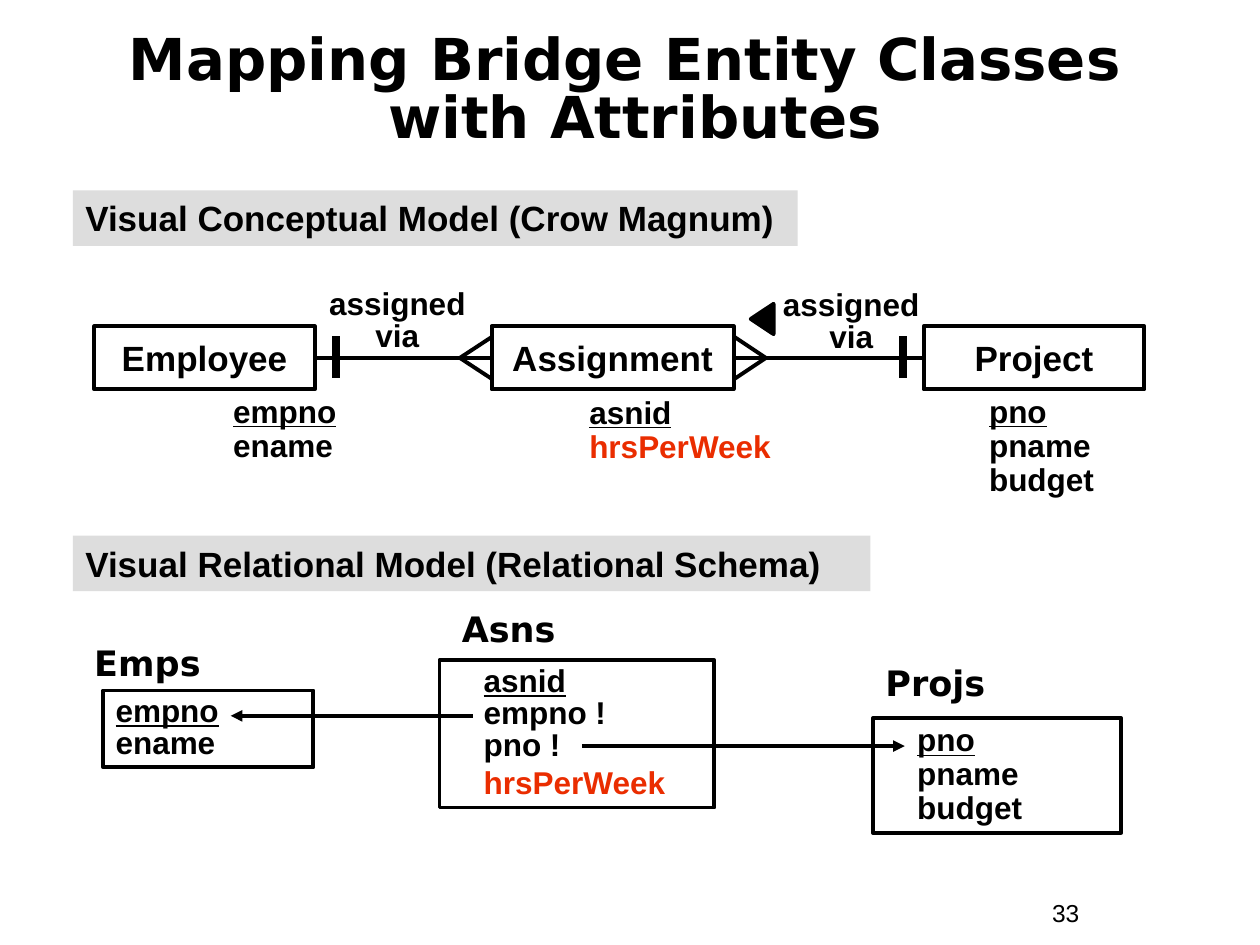
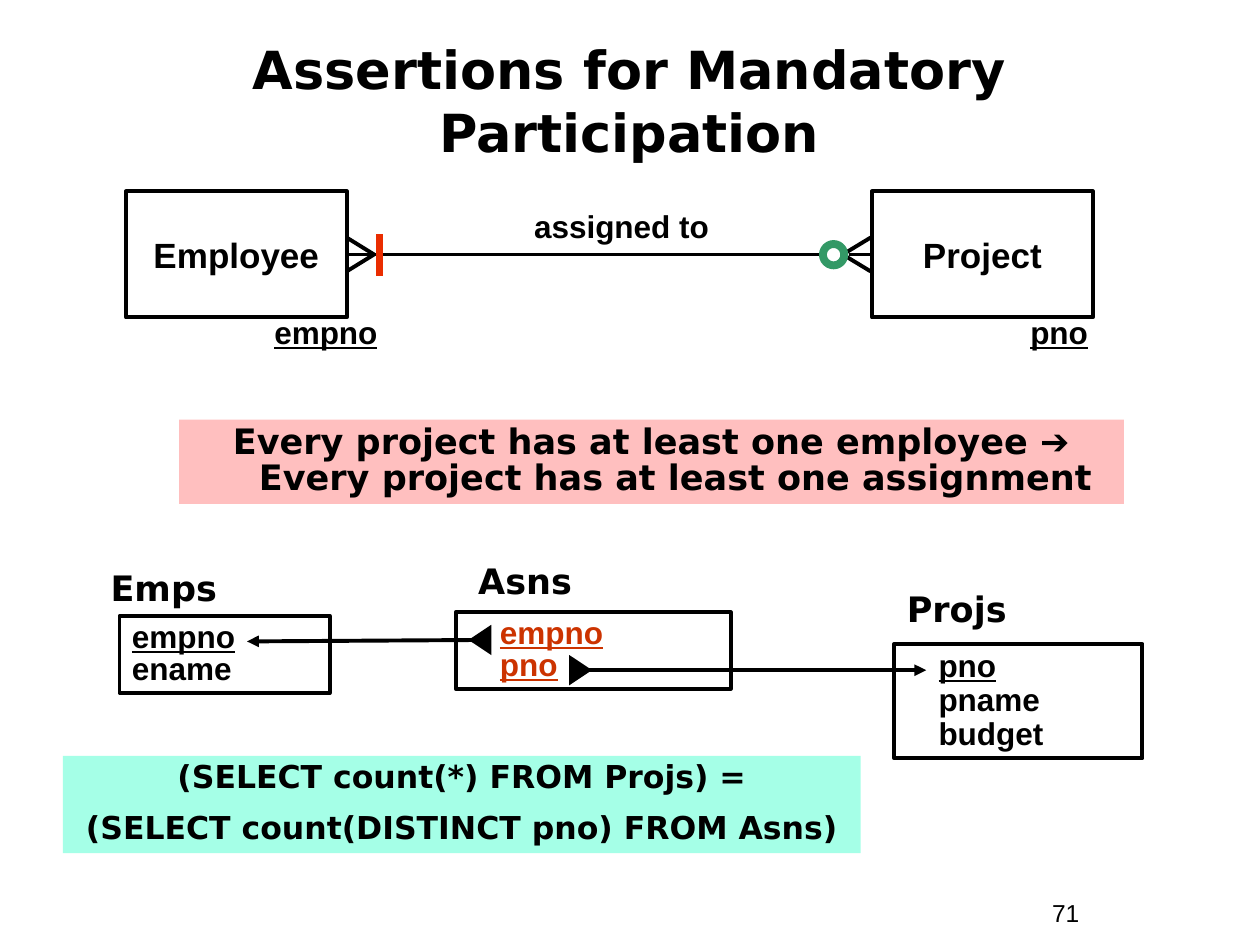
"""Build two slides that map entity classes to relational tables."""
from dataclasses import dataclass, replace

from lxml import etree
from pptx import Presentation
from pptx import util as u
from pptx.dml.color import RGBColor
from pptx.enum import shapes, text
from pptx.oxml.ns import qn

COLORS = {
    "ink": "000000",
    "heading": "DDDDDD",
    "alert": "EA2D00",
    "foreign": "CC3300",
    "optional": "339966",
    "rule": "FFBFBF",
    "query": "A5FFE7",
}
ACCENTS = {"hrsPerWeek": "alert"}
SANS, DISPLAY = "Arial", "DejaVu Sans"
LINE, HEAVY = 2.25, 4.5
LEFT, CENTER = text.PP_ALIGN.LEFT, text.PP_ALIGN.CENTER


@dataclass(frozen=True)
class Style:
    size: float = 18
    font: str = SANS
    bold: bool = True
    color: str = "ink"
    align: text.PP_ALIGN = LEFT
    spacing: float = 1.0
    before: float = 0
    margin: float = 0
    indent: float = 0
    middle: bool = False
    wrap: bool = True


@dataclass(frozen=True)
class Block:
    """Text in a frame measured in centimetres; keys are underlined."""
    words: str
    left: float
    top: float
    width: float
    height: float
    style: Style
    keys: tuple[str, ...] = ()
    fill: str | None = None
    outlined: bool = False


@dataclass(frozen=True)
class Relation:
    """A named table box, with the offset of its caption."""
    name: str
    columns: str
    width: float
    height: float
    caption_dx: float
    caption_dy: float
    caption_width: float
    style: Style
    keys: tuple[str, ...]


TITLE = Style(33, DISPLAY, align=CENTER, middle=True)
PAGE = Style(14, bold=False)
CAPTION = Style(20, DISPLAY)
HEADING = Style(20)
ENTITY = Style(20, align=CENTER, middle=True, wrap=False)
ATTRIBUTES = Style(spacing=0.9)
KEY_ONLY = Style(spacing=0.8)
ROLE = Style(align=CENTER, spacing=0.85)
COLUMNS = Style(spacing=0.85)
INDENTED = replace(COLUMNS, margin=0.64)
RULE = Style(20, DISPLAY, align=CENTER, spacing=0.85, margin=0.97, indent=-0.97)
QUERY = Style(18, DISPLAY, align=CENTER, spacing=0.85, before=11.2)

EMPS = Relation("Emps", "empno\vename", 4.24, 1.55, -0.43, -1.12, 5.46,
                COLUMNS, ("empno",))
PROJS = Relation("Projs", "pno\npname\nbudget", 5, 2.31, 0, -1.27, 5.46,
                 replace(INDENTED, spacing=0.9), ("pno",))
ASNS = Relation("Asns", "asnid\nempno !\npno !\nhrsPerWeek", 5.54, 2.97,
                0.2, -1.19, 6.38, INDENTED, ("asnid",))
BRIDGE_ASNS = replace(ASNS, columns="empno\npno", height=1.55,
                      style=replace(INDENTED, color="foreign"),
                      keys=("empno", "pno"))


def rgb(name: str) -> RGBColor:
    return RGBColor.from_string(COLORS[name])


def write(shape, words: str, style: Style, keys: tuple[str, ...] = ()) -> None:
    """Fill a shape with styled text."""
    frame = shape.text_frame
    frame.text = words
    frame.word_wrap = style.wrap
    frame.auto_size = text.MSO_AUTO_SIZE.NONE
    frame.vertical_anchor = (text.MSO_ANCHOR.MIDDLE if style.middle
                             else text.MSO_ANCHOR.TOP)
    frame.margin_left = frame.margin_right = u.Cm(0.25)
    frame.margin_top = frame.margin_bottom = u.Cm(0.13)
    for index, paragraph in enumerate(frame.paragraphs):
        paragraph.alignment = style.align
        paragraph.line_spacing = style.spacing
        if index and style.before:
            paragraph.space_before = u.Pt(style.before)
        if style.margin:
            properties = paragraph._p.get_or_add_pPr()
            properties.set("marL", str(u.Cm(style.margin)))
            properties.set("indent", str(u.Cm(style.indent)))
        for run in paragraph.runs:
            run.font.name = style.font
            run.font.size = u.Pt(style.size)
            run.font.bold = style.bold
            run.font.underline = run.text in keys
            run.font.color.rgb = rgb(ACCENTS.get(run.text, style.color))


def add_outline(slide, kind: shapes.MSO_SHAPE, left: float, top: float,
                width: float, height: float, fill: str | None = None,
                line: str | None = None, weight: float = LINE):
    """Add a preset shape with explicit fill and line."""
    shape = slide.shapes.add_shape(kind, u.Cm(left), u.Cm(top),
                                   u.Cm(width), u.Cm(height))
    shape.shadow.inherit = False
    if fill:
        shape.fill.solid()
        shape.fill.fore_color.rgb = rgb(fill)
    else:
        shape.fill.background()
    if line:
        shape.line.color.rgb = rgb(line)
        shape.line.width = u.Pt(weight)
    else:
        shape.line.fill.background()
    return shape


def add_block(slide, block: Block):
    """Draw a block as a box, or as a plain text box when it is bare."""
    area = (block.left, block.top, block.width, block.height)
    if block.fill or block.outlined:
        shape = add_outline(slide, shapes.MSO_SHAPE.RECTANGLE, *area, block.fill,
                            "ink" if block.outlined else None)
    else:
        shape = slide.shapes.add_textbox(*map(u.Cm, area))
    write(shape, block.words, block.style, block.keys)
    return shape


def add_entity(slide, name: str, left: float, top: float, height: float,
               width: float = 4.45):
    return add_block(slide, Block(name, left, top, width, height, ENTITY,
                                  outlined=True))


def add_relation(slide, relation: Relation, left: float, top: float):
    """Draw a table box under its caption."""
    add_block(slide, Block(relation.name, left + relation.caption_dx,
                           top + relation.caption_dy,
                           relation.caption_width, 1.12, CAPTION))
    return add_block(slide, Block(relation.columns, left, top, relation.width,
                                  relation.height, relation.style,
                                  relation.keys, outlined=True))


def add_line(slide, x1: float, y1: float, x2: float, y2: float,
             color: str = "ink", weight: float = LINE, arrow: bool = False):
    """Draw a straight line, with an arrowhead at its end if asked."""
    line = slide.shapes.add_connector(shapes.MSO_CONNECTOR.STRAIGHT,
                                      *map(u.Cm, (x1, y1, x2, y2)))
    line.line.color.rgb = rgb(color)
    line.line.width = u.Pt(weight)
    if arrow:
        etree.SubElement(line.line._get_or_add_ln(), qn("a:tailEnd"),
                         type="triangle")
    etree.SubElement(line._element.spPr, qn("a:effectLst"))
    return line


def add_crow_foot(slide, tip: float, edge: float, y: float, spread: float) -> None:
    for offset in (-spread, spread):
        add_line(slide, tip, y, edge, y + offset)


def add_pointer(slide, left: float, top: float, rotation: int,
                line: str | None = None) -> None:
    pointer = add_outline(slide, shapes.MSO_SHAPE.ISOSCELES_TRIANGLE,
                          left, top, 0.61, 0.46, "ink", line)
    pointer.rotation = rotation


def add_slide(deck, title: str, style: Style, number: str,
              left: float, top: float, width: float, height: float):
    """Start a slide with its title and page number."""
    slide = deck.slides.add_slide(deck.slide_layouts[5])
    heading = slide.shapes.title
    heading.left, heading.top = u.Cm(left), u.Cm(top)
    heading.width, heading.height = u.Cm(width), u.Cm(height)
    write(heading, title, style)
    add_block(slide, Block(number, 20.96, 17.98, 2.34, 0.86, PAGE))
    return slide


def build_bridge_mapping(deck) -> None:
    slide = add_slide(deck, "Mapping Bridge Entity Classes \vwith Attributes",
                      replace(TITLE, spacing=0.85), "33", 0.84, 0.48, 23.93, 2.74)
    asns = add_relation(slide, ASNS, 8.86, 13.31)
    asns.text_frame.paragraphs[-1].line_spacing = 1.0
    add_relation(slide, PROJS, 17.6, 14.48)
    add_relation(slide, EMPS, 2.08, 13.92)
    add_line(slide, 9.53, 14.43, 4.65, 14.43, arrow=True)
    add_line(slide, 11.73, 15.04, 18.24, 15.04, arrow=True)

    for words, top, width in (
        ("Visual Conceptual Model (Crow Magnum)", 3.84, 14.61),
        ("Visual Relational Model (Relational Schema)", 10.8, 16.08),
    ):
        add_block(slide, Block(words, 1.47, top, width, 1.12, HEADING,
                               fill="heading"))

    top, height = 6.58, 1.27
    axis = top + height / 2
    employee = add_entity(slide, "Employee", 1.9, top, height)
    assignment = add_entity(slide, "Assignment", 9.91, top, height, 4.88)
    project = add_entity(slide, "Project", 18.62, top, height)
    for entity, entity_side, bridge_side in ((employee, 3, 1), (project, 1, 3)):
        link = add_line(slide, 0, axis, 1, axis)
        link.begin_connect(entity, entity_side)
        link.end_connect(assignment, bridge_side)
    for tip, edge, bar in ((9.27, 9.91, 6.78), (15.44, 14.81, 18.21)):
        add_crow_foot(slide, tip, edge, axis, 0.42)
        add_line(slide, bar, 6.78, bar, 7.62, weight=HEAVY)
    add_pointer(slide, 15.06, 6.2, 270, "ink")

    for block in (
        Block("assigned via", 6.32, 5.72, 3.38, 1.55, ROLE),
        Block("assigned via", 15.47, 5.74, 3.38, 1.55, ROLE),
        Block("empno\nename", 4.45, 7.85, 3.81, 1.63, ATTRIBUTES, ("empno",)),
        Block("asnid\vhrsPerWeek", 11.63, 7.87, 4.45, 1.63, ATTRIBUTES, ("asnid",)),
        Block("pno\npname\nbudget", 19.69, 7.85, 4.24, 2.31, ATTRIBUTES, ("pno",)),
    ):
        add_block(slide, block)


def build_mandatory_participation(deck) -> None:
    slide = add_slide(deck, "Assertions for Mandatory Participation",
                      replace(TITLE, size=30), "71", 0.94, 0.84, 23.5, 2.34)
    add_relation(slide, BRIDGE_ASNS, 9.19, 12.34)
    add_relation(slide, PROJS, 18.03, 12.98)
    add_relation(slide, EMPS, 2.41, 12.42)
    add_line(slide, 9.83, 12.9, 4.98, 12.93, arrow=True)
    add_line(slide, 11.53, 13.51, 18.67, 13.51, arrow=True)
    add_pointer(slide, 11.4, 13.28, 90)
    add_pointer(slide, 9.37, 12.67, 270)

    top, height = 3.86, 2.54
    axis = top + height / 2
    employee = add_entity(slide, "Employee", 2.54, top, height)
    project = add_entity(slide, "Project", 17.58, top, height)
    add_line(slide, 7, axis, 16.51, axis).begin_connect(employee, 3)
    add_line(slide, 17.12, axis, 17.5, axis).end_connect(project, 1)
    for tip, edge in ((7.54, 6.99), (16.99, 17.55)):
        add_crow_foot(slide, tip, edge, axis, 0.34)
    add_outline(slide, shapes.MSO_SHAPE.OVAL, 16.59, 4.92, 0.43, 0.43,
                line="optional", weight=HEAVY)
    add_line(slide, 7.65, 4.72, 7.65, 5.56, "alert", HEAVY)

    for block in (
        Block("empno", 5.28, 6.32, 3.81, 0.86, KEY_ONLY, ("empno",)),
        Block("pno", 20.52, 6.32, 2.11, 0.86, KEY_ONLY, ("pno",)),
        Block("assigned to", 10.41, 4.17, 4.24, 0.91, ROLE),
        Block("Every project has at least one employee ➔\v"
              "Every project has at least one assignment",
              3.61, 8.46, 19.05, 1.7, RULE, fill="rule"),
        Block("(SELECT count(*) FROM Projs) =\n"
              "(SELECT count(DISTINCT pno) FROM Asns)",
              1.27, 15.24, 16.08, 1.96, QUERY, fill="query"),
    ):
        add_block(slide, block)


def main() -> None:
    deck = Presentation()
    deck.slide_width, deck.slide_height = u.Cm(25.4), u.Cm(19.05)
    build_bridge_mapping(deck)
    build_mandatory_participation(deck)
    deck.save("out.pptx")


if __name__ == "__main__":
    main()
